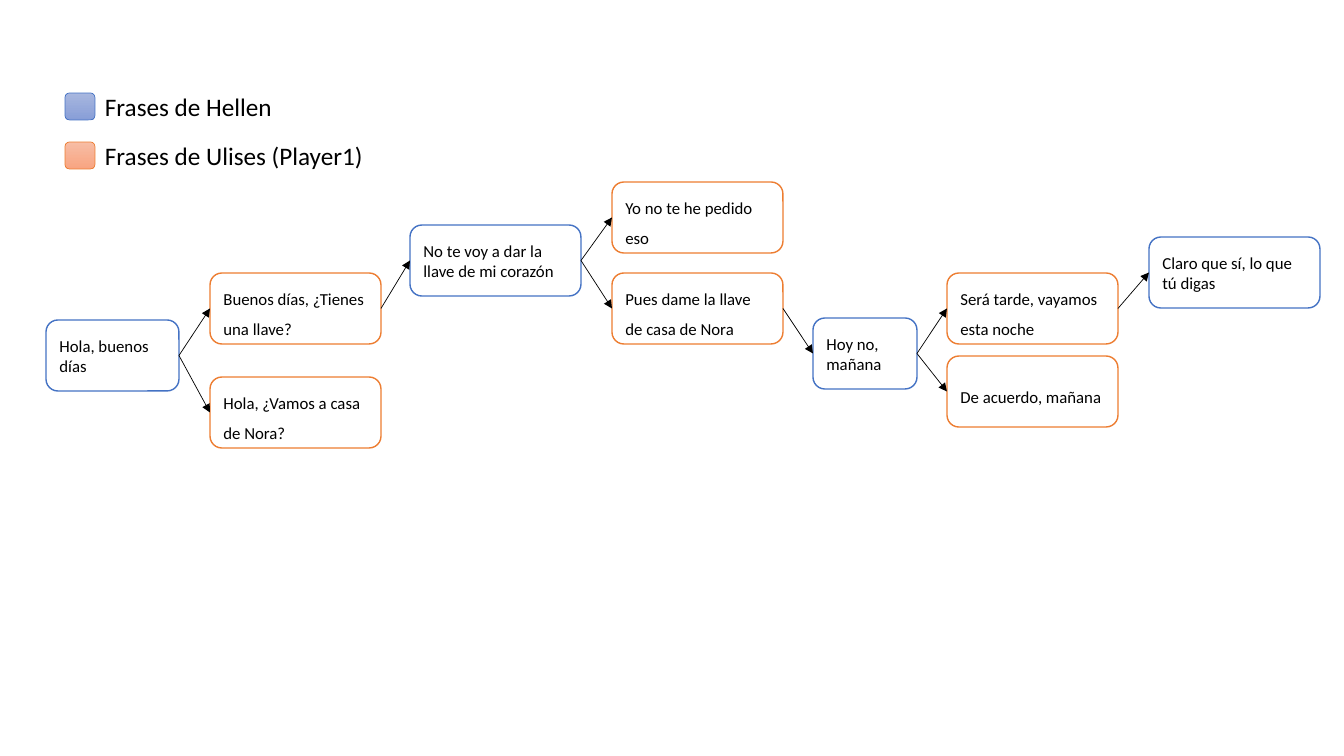
from dataclasses import dataclass
from lxml.etree import SubElement
from pptx import Presentation
from pptx.dml.color import RGBColor
from pptx.enum.shapes import MSO_CONNECTOR, MSO_SHAPE
from pptx.enum.text import MSO_ANCHOR, PP_ALIGN
from pptx.oxml.ns import qn
from pptx.util import Pt

SCALE = 914400 / 100.8  # EMU per pixel


@dataclass(frozen=True)
class Theme:
    font: str = "Calibri"
    ink: str = "000000"
    paper: str = "FFFFFF"
    hellen: str = "4472C4"
    ulises: str = "ED7D31"
    blues: tuple = ("A8B7DF", "889ED7")
    corals: tuple = ("F7BDA5", "F8A582")
    body: int = 12
    legend: int = 18
    edge: float = 1
    thin: float = 0.5


THEME = Theme()
LEFT, RIGHT = 1, 3  # connection sites of a rounded box
HIGH = 71
WIDE = 171

# Dialogue: key -> (speaker, left, top, width, phrase)
LINES = {
    "hello": ("hellen", 46, 320, 133, "Hola, buenos días"),
    "key": ("ulises", 210, 273, WIDE, "Buenos días, ¿Tienes una llave?"),
    "visit": ("ulises", 210, 377, WIDE, "Hola, ¿Vamos a casa de Nora?"),
    "heart": ("hellen", 410, 225, WIDE, "No te voy a dar la llave de mi corazón"),
    "deny": ("ulises", 612, 182, WIDE, "Yo no te he pedido eso"),
    "house": ("ulises", 612, 273, WIDE, "Pues dame la llave de casa de Nora"),
    "later": ("hellen", 813, 318, 104, "Hoy no, mañana"),
    "sure": ("hellen", 1149, 237, WIDE, "Claro que sí, lo que tú digas"),
    "night": ("ulises", 947, 273, WIDE, "Será tarde, vayamos esta noche"),
    "agree": ("ulises", 947, 356, WIDE, "De acuerdo, mañana"),
}

# Which phrase leads to which
LINKS = [
    ("hello", "key"), ("hello", "visit"), ("key", "heart"),
    ("heart", "deny"), ("heart", "house"), ("house", "later"),
    ("later", "night"), ("later", "agree"), ("night", "sure"),
]


def px(*vals):
    return [round(val * SCALE) for val in vals]


def rgb(code):
    return RGBColor.from_string(code)


def style(item, form):
    for name, val in form.items():
        setattr(item, name, val)


def write(shape, text, size, gap=1.0):
    frame = shape.text_frame
    style(frame, {"word_wrap": True, "vertical_anchor": MSO_ANCHOR.MIDDLE})
    para = frame.paragraphs[0]
    style(para, {"alignment": PP_ALIGN.LEFT, "line_spacing": gap})
    run = para.add_run()
    run.text = text
    style(run.font, {"name": THEME.font, "size": Pt(size)})
    run.font.color.rgb = rgb(THEME.ink)


def add_box(slide, area, edge, width):
    box = slide.shapes.add_shape(MSO_SHAPE.ROUNDED_RECTANGLE, *px(*area))
    box.shadow.inherit = False
    box.line.color.rgb = rgb(edge)
    box.line.width = Pt(width)
    return box


def add_phrase(slide, who, left, top, wide, text):
    box = add_box(slide, (left, top, wide, HIGH), getattr(THEME, who), THEME.edge)
    box.fill.solid()
    box.fill.fore_color.rgb = rgb(THEME.paper)
    write(box, text, THEME.body, 1.5 if who == "ulises" else 1.0)
    return box


def add_arrow(slide, start, end):
    link = slide.shapes.add_connector(MSO_CONNECTOR.STRAIGHT, 0, 0, 0, 0)
    link.begin_connect(start, RIGHT)
    link.end_connect(end, LEFT)
    link.line.color.rgb = rgb(THEME.ink)
    link.line.width = Pt(THEME.thin)
    SubElement(link.line._get_or_add_ln(), qn("a:tailEnd"), type="triangle")
    SubElement(link._element.spPr, qn("a:effectLst"))


def add_key(slide, top, edge, tints, text, wide):
    # Swatch with a gradient from top to bottom
    chip = add_box(slide, (65, top, 30, 27), edge, THEME.thin)
    chip.fill.gradient()
    chip.fill.gradient_angle = 270
    for stop, tint in zip(chip.fill.gradient_stops, tints):
        stop.color.rgb = rgb(tint)
    # Label
    label = slide.shapes.add_textbox(*px(95, top - 7, wide, 40))
    write(label, text, THEME.legend)


def main():
    deck = Presentation()
    style(deck, dict(zip(("slide_width", "slide_height"), px(1344, 756))))
    slide = deck.slides.add_slide(deck.slide_layouts[6])

    # Dialogue tree
    boxes = {key: add_phrase(slide, *line) for key, line in LINES.items()}
    for start, end in LINKS:
        add_arrow(slide, boxes[start], boxes[end])

    # Legend
    add_key(slide, 93, THEME.hellen, THEME.blues, "Frases de Hellen", 200)
    add_key(slide, 142, THEME.ulises, THEME.corals, "Frases de Ulises (Player1)", 284)

    deck.save("out.pptx")


main()
